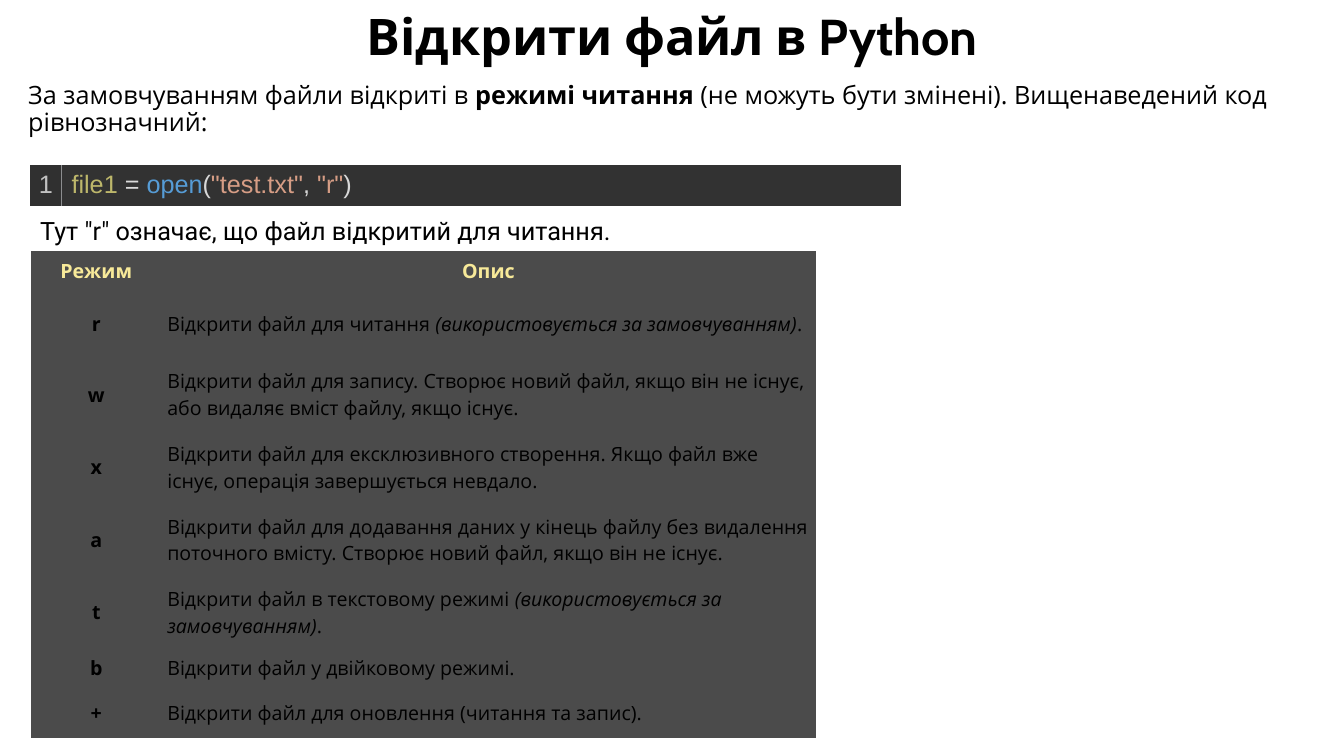
from lxml.etree import SubElement
from pptx import Presentation
from pptx.dml.color import RGBColor
from pptx.enum.text import MSO_ANCHOR as Anchor, MSO_AUTO_SIZE as AutoSize, PP_ALIGN as Align
from pptx.oxml import parse_xml
from pptx.oxml.ns import nsdecls, qn
from pptx.util import Inches, Pt

BLACK = RGBColor(0x00, 0x00, 0x00)
HEADER_YELLOW = RGBColor(0xF7, 0xE9, 0x99)
MODES_GRAY = RGBColor(0x4B, 0x4B, 0x4B)
GUTTER_FILL = RGBColor(0x30, 0x30, 0x30)
CODE_FILL = RGBColor(0x32, 0x32, 0x32)
GUTTER_LINE = RGBColor(0x8C, 0x8D, 0x8F)
LINE_NUMBER = RGBColor(0xC2, 0xC2, 0xC2)
VARIABLE = RGBColor(0xBD, 0xB7, 0x6B)
OPERATOR = RGBColor(0xDA, 0xDA, 0xDA)
FUNCTION = RGBColor(0x56, 0x9C, 0xD6)
PUNCTUATION = RGBColor(0xD8, 0xD8, 0xD8)
STRING = RGBColor(0xD6, 0x9D, 0x85)

PLAIN_TABLE_STYLE = "{2D5ABB26-0587-4C30-8999-92F81FD0307C}"

TITLE_FONT = {"name": "Cabin", "size": Pt(36), "bold": True, "color": BLACK}
INTRO_FONT = {"name": "Open Sans", "size": Pt(18), "bold": False, "color": BLACK}
NOTE_FONT = {"name": "Roboto", "size": Pt(18), "color": BLACK}
CODE_FONT = {"name": "Arial", "size": Pt(18)}
MODE_FONT = {"name": "Open Sans", "size": Pt(14), "color": BLACK}
HEADER_FONT = MODE_FONT | {"bold": True, "color": HEADER_YELLOW}

INTRO = [
    ("За замовчуванням файли відкриті в ", {}),
    ("режимі читання", {"bold": True}),
    (" (не можуть бути змінені). Вищенаведений код рівнозначний:", {}),
]
CODE = [
    ("file1 ", VARIABLE), ("= ", OPERATOR), ("open", FUNCTION), ("(", PUNCTUATION),
    ('"test.txt"', STRING), (", ", PUNCTUATION), ('"r"', STRING), (")", PUNCTUATION),
]
DEFAULT_NOTE = "(використовується за замовчуванням)"
# mode, description, italic remark, row height
MODES = [
    ("r", "Відкрити файл для читання ", DEFAULT_NOTE, 0.68),
    ("w", "Відкрити файл для запису. Створює новий файл, якщо він не існує, "
          "або видаляє вміст файлу, якщо існує.", "", 0.72),
    ("x", "Відкрити файл для ексклюзивного створення. Якщо файл вже існує, "
          "операція завершується невдало.", "", 0.72),
    ("a", "Відкрити файл для додавання даних у кінець файлу без видалення "
          "поточного вмісту. Створює новий файл, якщо він не існує.", "", 0.72),
    ("t", "Відкрити файл в текстовому режимі ", DEFAULT_NOTE, 0.72),
    ("b", "Відкрити файл у двійковому режимі.", "", 0.38),
    ("+", "Відкрити файл для оновлення (читання та запис).", "", 0.5),
]


def write(paragraph, runs, base, align=Align.LEFT):
    paragraph.alignment = align
    for text, changes in runs:
        run = paragraph.add_run()
        run.text = text
        for key, value in (base | changes).items():
            if key == "color":
                run.font.color.rgb = value
            else:
                setattr(run.font, key, value)


def set_frame(frame, anchor=Anchor.TOP):
    settings = {"word_wrap": True, "auto_size": AutoSize.NONE, "vertical_anchor": anchor,
                "margin_left": Inches(0.1), "margin_right": Inches(0.1),
                "margin_top": Inches(0.05), "margin_bottom": Inches(0.05)}
    for key, value in settings.items():
        setattr(frame, key, value)


def place(shape, left, top, width, height):
    for key, value in zip(("left", "top", "width", "height"), (left, top, width, height)):
        setattr(shape, key, Inches(value))


def add_plain_table(slide, left, top, widths, heights):
    table = slide.shapes.add_table(
        len(heights), len(widths), Inches(left), Inches(top),
        Inches(sum(widths)), Inches(sum(heights))).table
    table.first_row = table.horz_banding = False
    table._tbl.tblPr.find(qn("a:tableStyleId")).text = PLAIN_TABLE_STYLE
    for column, width in zip(table.columns, widths):
        column.width = Inches(width)
    for row, height in zip(table.rows, heights):
        row.height = Inches(height)
    return table


def fill_cell(cell, color, margin=None):
    cell.fill.solid()
    cell.fill.fore_color.rgb = color
    if margin is not None:
        cell.vertical_anchor = Anchor.MIDDLE
        for side in ("left", "right", "top", "bottom"):
            setattr(cell, f"margin_{side}", Inches(margin))


def add_border(cell, side):
    line = parse_xml(f'<a:{side} {nsdecls("a")} w="{Pt(0.6)}"/>')
    fill = SubElement(line, qn("a:solidFill"))
    SubElement(fill, qn("a:srgbClr"), val=str(GUTTER_LINE))
    cell._tc.get_or_add_tcPr().insert(0, line)


def add_code_line(slide):
    table = add_plain_table(slide, 0.3, 1.64, [0.31, 8.33], [0.4])
    number, code = table.cell(0, 0), table.cell(0, 1)
    fill_cell(number, GUTTER_FILL)
    fill_cell(code, CODE_FILL)
    number.margin_left = number.margin_right = Inches(0.05)
    write(number.text_frame.paragraphs[0], [("1", {"color": LINE_NUMBER})],
          CODE_FONT, Align.CENTER)
    write(code.text_frame.paragraphs[0],
          [(text, {"color": color}) for text, color in CODE], CODE_FONT)
    add_border(number, "lnR")
    add_border(code, "lnL")


def add_modes_table(slide):
    heights = [0.38] + [mode[-1] for mode in MODES]
    table = add_plain_table(slide, 0.31, 2.49, [1.29, 6.49], heights)
    for cell in table.iter_cells():
        fill_cell(cell, MODES_GRAY, 0.06)
    for column, heading in enumerate(("Режим", "Опис")):
        write(table.cell(0, column).text_frame.paragraphs[0], [(heading, {})],
              HEADER_FONT, Align.CENTER)
    for row, (mode, description, remark, _) in enumerate(MODES, start=1):
        write(table.cell(row, 0).text_frame.paragraphs[0], [(mode, {"bold": True})],
              MODE_FONT, Align.CENTER)
        runs = [(description, {})]
        if remark:
            runs += [(remark, {"italic": True}), (".", {})]
        write(table.cell(row, 1).text_frame.paragraphs[0], runs, MODE_FONT)


def add_intro(body):
    place(body, 0.18, 0.77, 12.55, 0.8)
    set_frame(body.text_frame)
    paragraph = body.text_frame.paragraphs[0]
    write(paragraph, INTRO, INTRO_FONT)
    paragraph.line_spacing = 0.9
    paragraph.space_before = Pt(0)
    # No bullet and no hanging indent
    properties = paragraph._p.get_or_add_pPr()
    properties.set("marL", "0")
    properties.set("indent", "0")
    SubElement(properties, qn("a:buNone"))


def main():
    deck = Presentation()
    deck.slide_width, deck.slide_height = Inches(13.33), Inches(7.5)
    slide = deck.slides.add_slide(deck.slide_layouts[1])
    title, body = slide.placeholders

    # Title and introduction
    place(title, 0, 0, 13.33, 0.71)
    set_frame(title.text_frame, Anchor.MIDDLE)
    write(title.text_frame.paragraphs[0], [("Відкрити файл в Python", {})],
          TITLE_FONT, Align.CENTER)
    add_intro(body)

    # Code line with its explanation
    add_code_line(slide)
    note = slide.shapes.add_textbox(Inches(0.3), Inches(2.09), Inches(6.67), Inches(0.4))
    set_frame(note.text_frame)
    write(note.text_frame.paragraphs[0],
          [('Тут "r" означає, що файл відкритий для читання.', {})], NOTE_FONT)

    # File modes
    add_modes_table(slide)
    deck.save("out.pptx")


if __name__ == "__main__":
    main()
